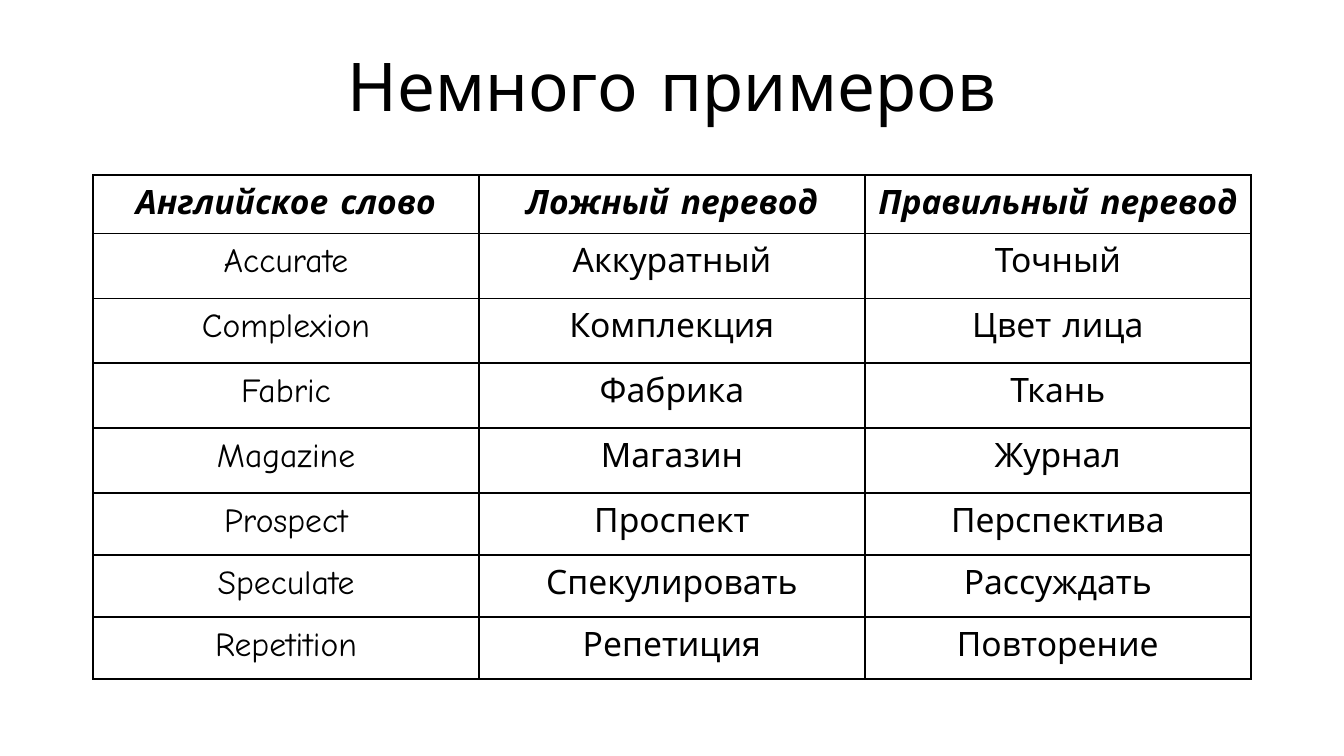
import pptx
import pptx.dml.color
import pptx.enum.text
import pptx.oxml
import pptx.oxml.ns
import pptx.util

TITLE = "Немного примеров"
WORDS = [
    ("Английское слово", "Ложный перевод", "Правильный перевод"),
    ("Accurate", "Аккуратный", "Точный"),
    ("Complexion", "Комплекция", "Цвет лица"),
    ("Fabric", "Фабрика", "Ткань"),
    ("Magazine", "Магазин", "Журнал"),
    ("Prospect", "Проспект", "Перспектива"),
    ("Speculate", "Спекулировать", "Рассуждать"),
    ("Repetition", "Репетиция", "Повторение"),
]
COLORS = {"background": "FFFFFF", "text": "000000", "border": "000000"}
FONT = "Comic Neue"
TITLE_FORMAT = {"size": pptx.util.Pt(36), "bold": False, "italic": False}
HEADER_FORMAT = {"size": pptx.util.Pt(18), "bold": True, "italic": True}
WORD_FORMAT = {"size": pptx.util.Pt(18), "bold": False, "italic": False}

SLIDE_SIZE = (1344, 756)
TITLE_BOX = (46, 59, 1252, 79)
TITLE_MARGIN = 13
TABLE_LEFT, TABLE_TOP = 93, 175
COLUMN_WIDTH = 386
ROW_HEIGHTS = [57] + [65] * 4 + [62] * 3
CELL_MARGIN = 9
MARGINS = ("margin_left", "margin_top", "margin_right", "margin_bottom")


def px(length):
    return pptx.util.Emu(round(length * 914400 / 134.4))


def rgb(name):
    return pptx.dml.color.RGBColor.from_string(COLORS[name])


def set_margins(target, margin):
    for side in MARGINS:
        setattr(target, side, px(margin))


def write_centered(frame, text, font_format):
    paragraph = frame.paragraphs[0]
    paragraph.alignment = pptx.enum.text.PP_ALIGN.CENTER
    run = paragraph.add_run()
    run.text = text
    run.font.name = FONT
    run.font.color.rgb = rgb("text")
    for key, value in font_format.items():
        setattr(run.font, key, value)


def set_borders(cell):
    properties = cell._tc.get_or_add_tcPr()
    for index, side in enumerate(("lnL", "lnR", "lnT", "lnB")):
        properties.insert(index, pptx.oxml.parse_xml(
            f'<a:{side} {pptx.oxml.ns.nsdecls("a")} w="{pptx.util.Pt(1)}">'
            f'<a:solidFill><a:srgbClr val="{COLORS["border"]}"/></a:solidFill>'
            f'</a:{side}>'))


def add_title(slide):
    frame = slide.shapes.add_textbox(*map(px, TITLE_BOX)).text_frame
    frame.word_wrap = True
    frame.vertical_anchor = pptx.enum.text.MSO_ANCHOR.BOTTOM
    set_margins(frame, TITLE_MARGIN)
    write_centered(frame, TITLE, TITLE_FORMAT)


def add_word_table(slide):
    columns = len(WORDS[0])
    table_box = (TABLE_LEFT, TABLE_TOP, COLUMN_WIDTH * columns, sum(ROW_HEIGHTS))
    table = slide.shapes.add_table(len(WORDS), columns, *map(px, table_box)).table
    table.first_row = table.horz_banding = False
    for column in table.columns:
        column.width = px(COLUMN_WIDTH)
    for row_index, (row, height, words) in enumerate(zip(table.rows, ROW_HEIGHTS, WORDS)):
        row.height = px(height)
        font_format = WORD_FORMAT if row_index else HEADER_FORMAT
        for cell, word in zip(row.cells, words):
            set_margins(cell, CELL_MARGIN)
            cell.fill.background()
            set_borders(cell)
            write_centered(cell.text_frame, word, font_format)


def main():
    deck = pptx.Presentation()
    deck.slide_width, deck.slide_height = map(px, SLIDE_SIZE)
    slide = deck.slides.add_slide(deck.slide_layouts[6])
    slide.background.fill.solid()
    slide.background.fill.fore_color.rgb = rgb("background")
    add_title(slide)
    add_word_table(slide)
    deck.save("out.pptx")


if __name__ == "__main__":
    main()
